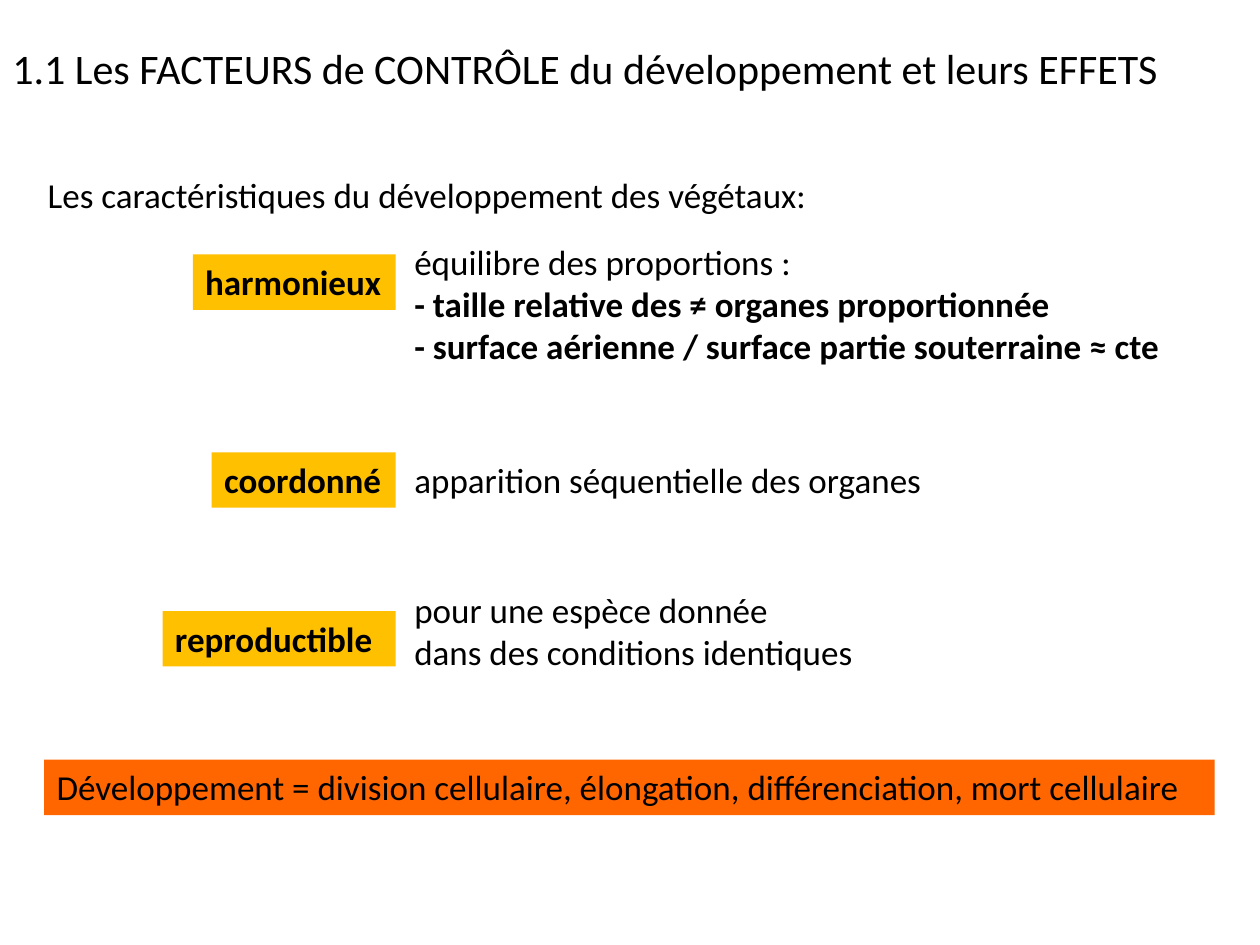
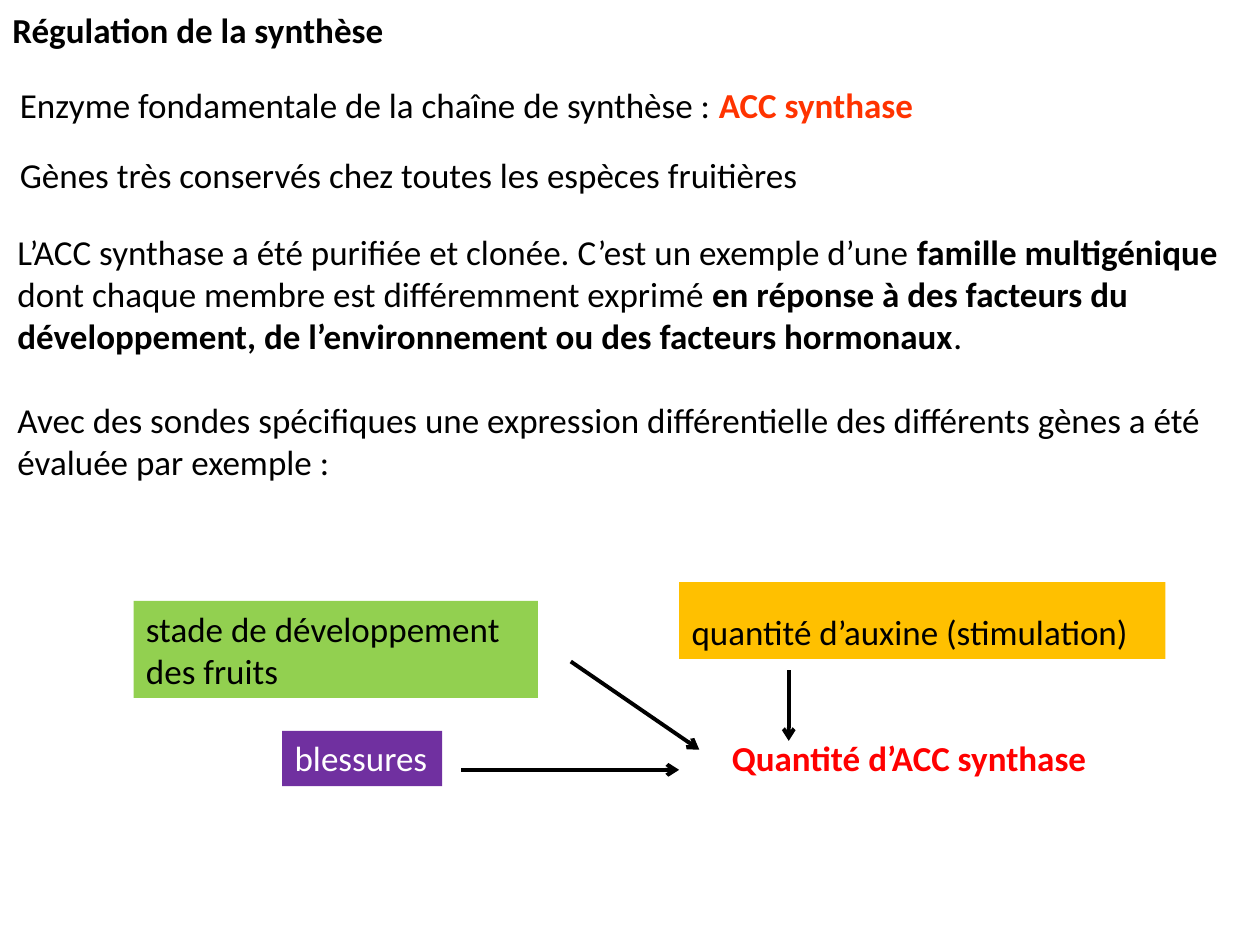
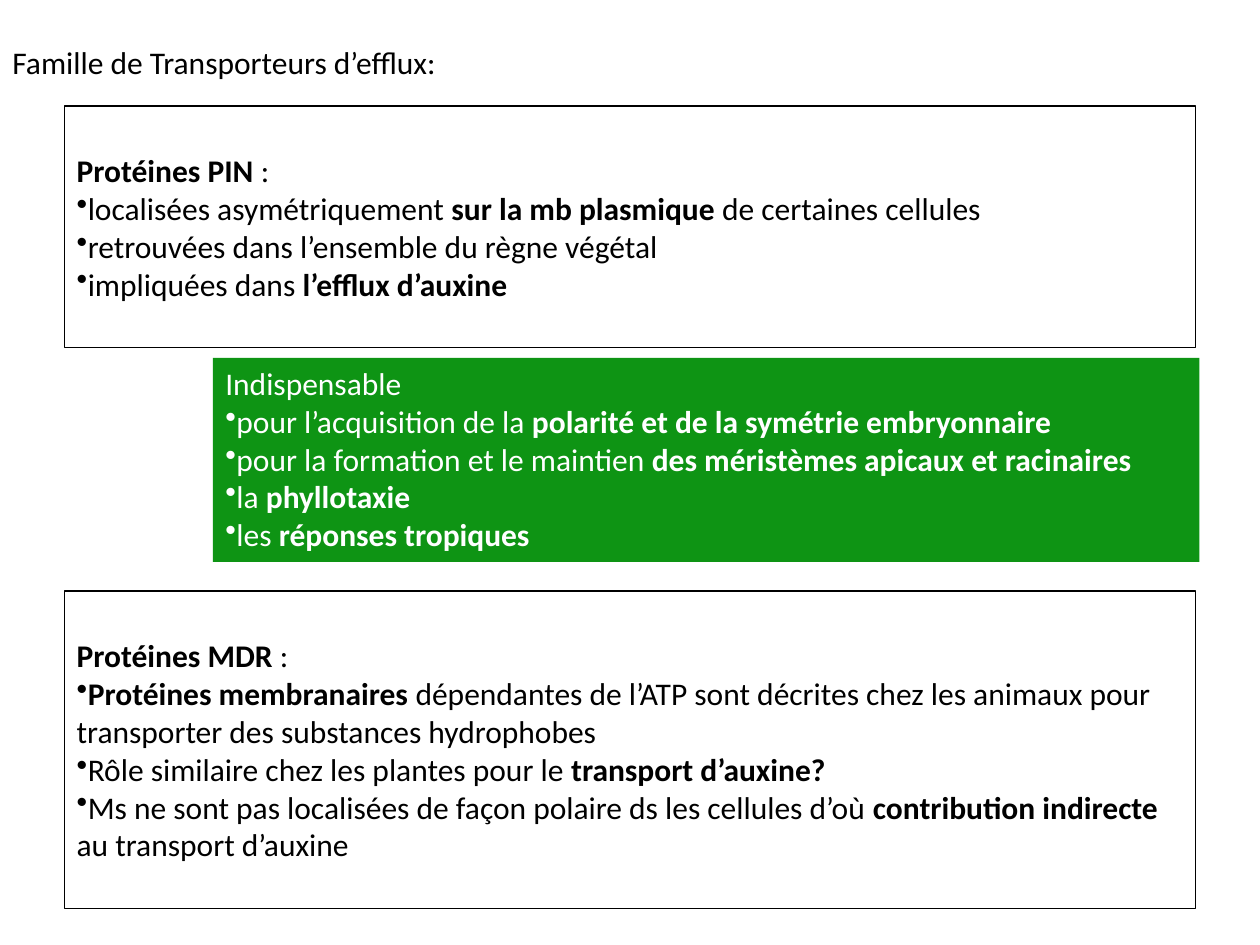
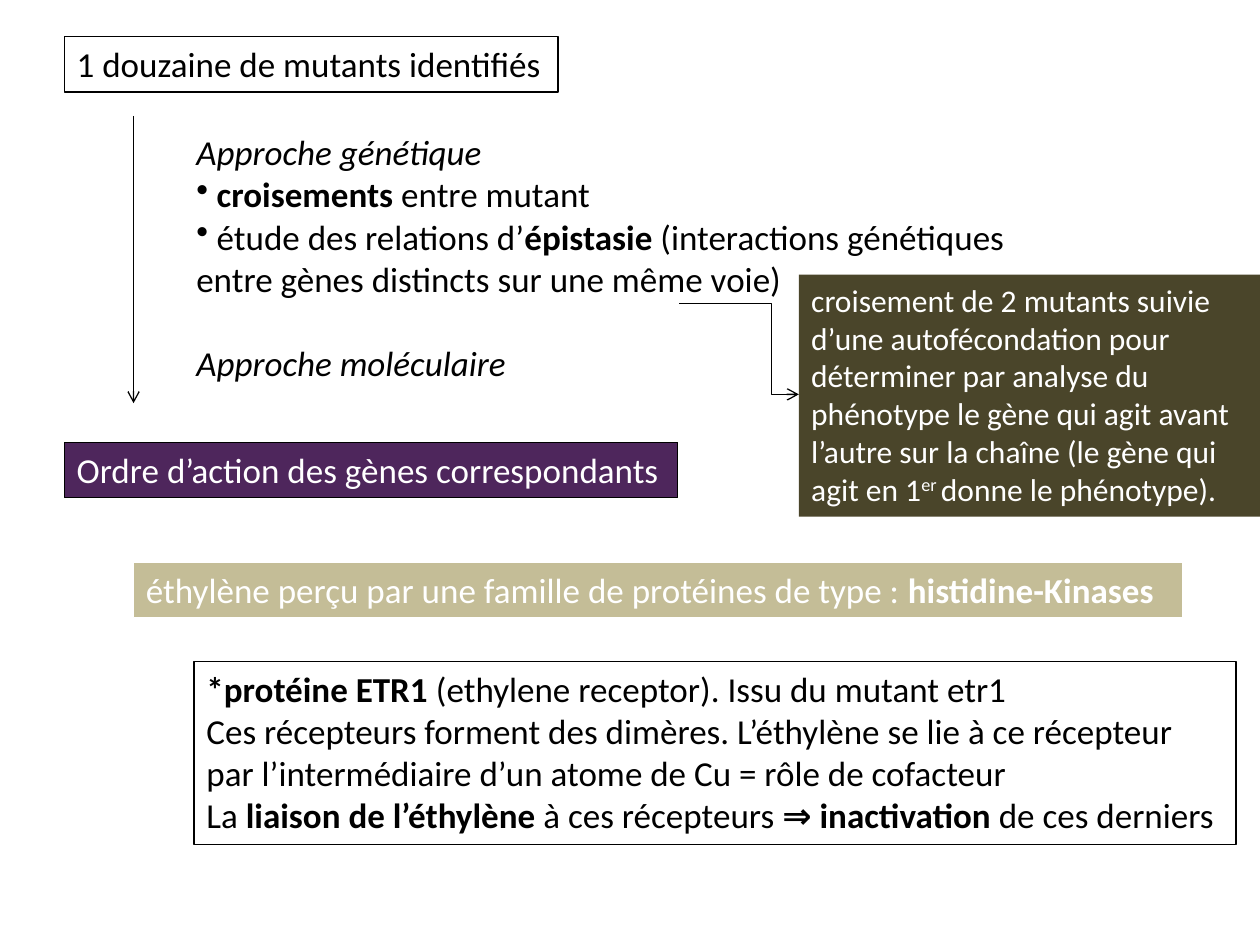
from pptx import Presentation
from pptx import util as u
from pptx.dml.color import RGBColor
from pptx.enum import shapes, text
from pptx.oxml.ns import qn
from lxml import etree

FONT = "Calibri"
BLACK = RGBColor(0x00, 0x00, 0x00)
WHITE = RGBColor(0xFF, 0xFF, 0xFF)
AMBER = RGBColor(0xFF, 0xC0, 0x00)
ORANGE = RGBColor(0xFF, 0x66, 0x00)
VERMILION = RGBColor(0xFF, 0x33, 0x00)
RED = RGBColor(0xFF, 0x00, 0x00)
VIOLET = RGBColor(0x70, 0x30, 0xA0)
PLUM = RGBColor(0x4E, 0x26, 0x5C)
LIME = RGBColor(0x92, 0xD0, 0x50)
GREEN = RGBColor(0x0E, 0x94, 0x14)
TAN = RGBColor(0xC4, 0xBD, 0x97)
OLIVE = RGBColor(0x4A, 0x45, 0x2A)

LINE_H = 0.44      # height of a one-line box
INSET = 0.05       # default top inset
BULLET = "•"
BOLD = {"bold": True}


def write(slide, box, paragraphs, size=20, color=BLACK, bold=False, accent=BOLD,
          fill=None, line=None, top_inset=INSET, anchor=text.MSO_ANCHOR.TOP,
          italic=(), gap_before=None):
    """Put text in a box; parts between | signs take the accent format.

    italic lists the indexes of italic paragraphs, gap_before maps an index
    to its space before in points, and a leading • makes a bullet.
    """
    if isinstance(paragraphs, str):
        paragraphs = [paragraphs]
    place = [u.Inches(value) for value in box]
    if fill is None and line is None:
        holder = slide.shapes.add_textbox(*place)
    else:
        holder = slide.shapes.add_shape(shapes.MSO_SHAPE.RECTANGLE, *place)
        holder.shadow.inherit = False
        if fill is None:
            holder.fill.background()
        else:
            holder.fill.solid()
            holder.fill.fore_color.rgb = fill
        if line is None:
            holder.line.fill.background()
        else:
            holder.line.color.rgb = line
            holder.line.width = u.Pt(0.75)
    frame = holder.text_frame
    frame.word_wrap = True
    frame.vertical_anchor = anchor
    frame.margin_top = u.Inches(top_inset)
    for index, content in enumerate(paragraphs):
        paragraph = frame.add_paragraph() if index else frame.paragraphs[0]
        if content.startswith(BULLET):
            content = content[len(BULLET):]
            etree.SubElement(paragraph._p.get_or_add_pPr(), qn("a:buChar"), char=BULLET)
        paragraph.alignment = text.PP_ALIGN.LEFT
        if gap_before and index in gap_before:
            paragraph.space_before = u.Pt(gap_before[index])
        for part, words in enumerate(content.split("|")):
            if not words:
                continue
            style = accent if part % 2 else {}
            run = paragraph.add_run()
            run.text = words
            run.font.name = FONT
            run.font.size = u.Pt(size)
            run.font.bold = style.get("bold", bold)
            run.font.italic = index in italic
            run.font.color.rgb = style.get("color", color)
            if "baseline" in style:
                run.font._element.set("baseline", style["baseline"])


def arrow(slide, start, end, width=0.75, bend=None):
    """Arrow from start to end; bend is the share of the way where it turns."""
    kind = shapes.MSO_CONNECTOR.STRAIGHT if bend is None else shapes.MSO_CONNECTOR.ELBOW
    connector = slide.shapes.add_connector(kind, *(u.Inches(v) for v in (*start, *end)))
    connector.line.color.rgb = BLACK
    connector.line.width = u.Pt(width)
    properties = connector._element.spPr
    etree.SubElement(properties.find(qn("a:ln")), qn("a:tailEnd"), type="arrow")
    etree.SubElement(properties, qn("a:effectLst"))
    if bend is not None:
        geometry = properties.find(qn("a:prstGeom"))
        guides = geometry.find(qn("a:avLst"))
        if guides is None:
            guides = etree.SubElement(geometry, qn("a:avLst"))
        etree.SubElement(guides, qn("a:gd"), name="adj1", fmla=f"val {round(bend * 100000)}")


# Characteristics of plant development

def characteristic(slide, box, label, label_w, label_dy, description):
    """Amber label ending at the left edge of the description box."""
    x, y, w, h = box
    write(slide, (x - 0.05 - label_w, y + label_dy, label_w, LINE_H), label,
          bold=True, fill=AMBER)
    write(slide, box, description)


def development_slide(slide):
    write(slide, (0, 0.29, 10, 0.5),
          "1.1 Les FACTEURS de CONTRÔLE du développement et leurs EFFETS", size=24)
    write(slide, (0.28, 1.33, 7.48, LINE_H),
          "Les caractéristiques du développement des végétaux:")
    rows = [
        (1.86, 1.11, "harmonieux", 1.61, 0.16,
         ["équilibre des proportions :",
          "|- taille relative des ≠ organes proportionnée|",
          "|- surface aérienne / surface partie souterraine ≈ cte|"]),
        (3.59, LINE_H, "coordonné", 1.46, 0, "apparition séquentielle des organes"),
        (4.62, 0.77, "reproductible", 1.85, 0.23,
         ["pour une espèce donnée", "dans des conditions identiques"]),
    ]
    for top, height, *content in rows:
        characteristic(slide, (3.19, top, 6.23, height), *content)
    write(slide, (0.35, 6.03, 9.29, LINE_H),
          "Développement = division cellulaire, élongation, différenciation, mort cellulaire",
          fill=ORANGE)


# Regulation of the synthesis

def regulation_factors(slide, box):
    """Three factors pointing at the quantity of ACC synthase."""
    x, y, w, h = box
    write(slide, (x + 4.33, y, 3.86, 0.61), "quantité d’auxine (stimulation)",
          fill=AMBER, anchor=text.MSO_ANCHOR.BOTTOM)
    write(slide, (x, y + 0.15, 3.21, 0.77), "stade de développement des fruits", fill=LIME)
    result_y = y + h - LINE_H
    write(slide, (x + 1.18, result_y, 1.27, LINE_H), "blessures", color=WHITE, fill=VIOLET)
    write(slide, (x + 4.65, result_y, 3.05, LINE_H), "Quantité d’ACC synthase",
          color=RED, bold=True)
    for start, end in [((2.6, 1.49), (4.33, 1.49)),
                       ((3.47, 0.63), (4.49, 1.33)),
                       ((5.2, 0.7), (5.2, 1.26))]:
        arrow(slide, (x + start[0], y + start[1]), (x + end[0], y + end[1]), width=2.25)


def regulation_slide(slide):
    write(slide, (0, 0.02, 10, LINE_H), "Régulation de la synthèse", bold=True)
    write(slide, (0.06, 0.61, 9.94, LINE_H),
          "Enzyme fondamentale de la chaîne de synthèse : |ACC synthase|",
          accent={"bold": True, "color": VERMILION})
    write(slide, (0.06, 1.17, 9.94, LINE_H),
          "Gènes très conservés chez toutes les espèces fruitières")
    write(slide, (0.04, 1.78, 9.88, 2.12),
          ["L’ACC synthase a été purifiée et clonée. C’est un exemple d’une "
           "|famille multigénique |dont chaque membre est différemment exprimé "
           "|en réponse à des facteurs du développement, de l’environnement ou "
           "des facteurs hormonaux|.",
           "Avec des sondes spécifiques une expression différentielle des différents "
           "gènes a été évaluée par exemple :"],
          gap_before={1: 24})
    regulation_factors(slide, (1.06, 4.62, 8.19, 1.62))


# Efflux carriers

def protein_panel(slide, box, paragraphs):
    write(slide, box, paragraphs, size=18, line=BLACK, top_inset=0.36)


def carriers_slide(slide):
    write(slide, (0, 0.29, 4.02, 0.4), "Famille de Transporteurs d’efflux:", size=18)
    protein_panel(slide, (0.51, 0.84, 8.98, 1.92), [
        "|Protéines PIN |:",
        "•localisées asymétriquement |sur la mb plasmique |de certaines cellules",
        "•retrouvées dans l’ensemble du règne végétal",
        "•impliquées dans |l’efflux d’auxine|"])
    write(slide, (1.69, 2.84, 7.83, 1.62), [
        "Indispensable",
        "•pour l’acquisition de la |polarité et de la symétrie embryonnaire|",
        "•pour la formation et le maintien |des méristèmes apicaux et racinaires|",
        "•la| phyllotaxie|",
        "•les| réponses tropiques|"], size=18, color=WHITE, fill=GREEN)
    protein_panel(slide, (0.51, 4.69, 8.98, 2.52), [
        "|Protéines MDR |:",
        "•|Protéines membranaires |dépendantes de l’ATP sont décrites chez les animaux "
        "pour transporter des substances hydrophobes",
        "•Rôle similaire chez les plantes pour le |transport d’auxine?|",
        "•Ms ne sont pas localisées de façon polaire ds les cellules d’où "
        "|contribution indirecte |au transport d’auxine"])


# Mutants and ethylene receptors

def mutant_analysis(slide, box):
    """From the mutants to the order of the genes, with a note on the right."""
    x, y, w, h = box
    write(slide, (x, y, 3.92, LINE_H), "1 douzaine de mutants identifiés",
          fill=WHITE, line=BLACK)
    arrow(slide, (x + 0.55, y + 0.63), (x + 0.55, y + 2.91))
    write(slide, (x + 0.95, y + 0.7, 6.93, 2.12), [
        "Approche génétique",
        "•| croisements| entre mutant",
        "• étude des relations d’|épistasie| (interactions génétiques entre gènes "
        "distincts sur une même voie)",
        "Approche moléculaire"], italic=(0, 3), gap_before={3: 24})
    write(slide, (x, y + 3.22, 4.87, LINE_H), "Ordre d’action des gènes correspondants",
          color=WHITE, fill=PLUM, line=BLACK)
    note_x, note_y = x + w - 3.66, y + 1.89
    write(slide, (note_x, note_y, 3.66, 1.92),
          "croisement de 2 mutants suivie d’une autofécondation pour déterminer par "
          "analyse du phénotype le gène qui agit avant l’autre sur la chaîne (le gène "
          "qui agit en 1|er |donne le phénotype).",
          size=18, color=WHITE, fill=OLIVE, accent={"baseline": "30000"})
    arrow(slide, (note_x - 0.95, note_y + 0.23), (note_x, note_y + 0.95), bend=0.77)


def receptors_slide(slide):
    mutant_analysis(slide, (0.51, 0.29, 9.49, 3.81))
    write(slide, (1.06, 4.46, 8.33, LINE_H),
          "éthylène perçu par une famille de protéines de type : |histidine-Kinases|",
          color=WHITE, fill=TAN, line=WHITE)
    write(slide, (1.54, 5.25, 8.27, 1.45), [
        "|*protéine ETR1 |(ethylene receptor). Issu du mutant etr1",
        "Ces récepteurs forment des dimères. L’éthylène se lie à ce récepteur par "
        "l’intermédiaire d’un atome de Cu = rôle de cofacteur",
        "La |liaison de l’éthylène |à ces récepteurs |⇒ inactivation |de ces derniers"],
        line=BLACK)


def main():
    deck = Presentation()
    deck.slide_width, deck.slide_height = u.Inches(10), u.Inches(7.5)
    blank = deck.slide_layouts[6]
    for build in (development_slide, regulation_slide, carriers_slide, receptors_slide):
        build(deck.slides.add_slide(blank))
    deck.save("out.pptx")


if __name__ == "__main__":
    main()
